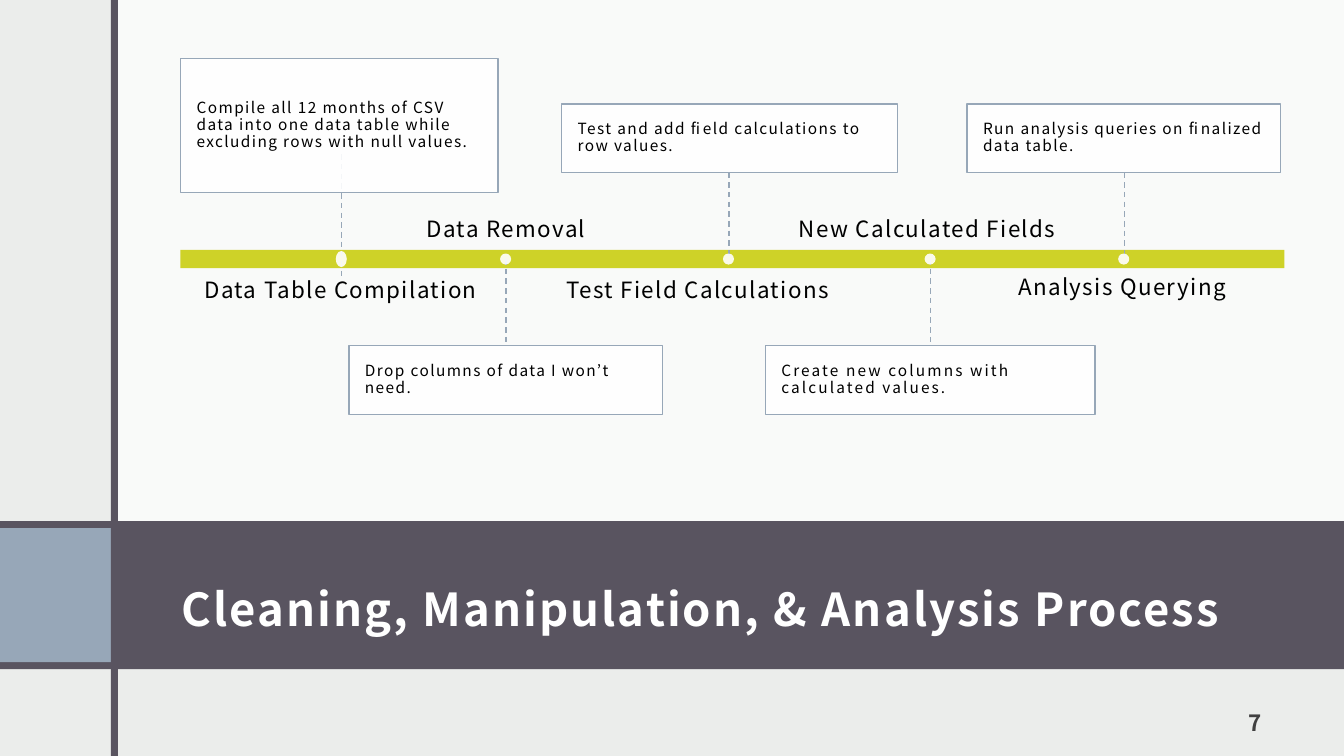
from lxml import etree
from pptx import Presentation
from pptx import util as u
from pptx.dml import color
from pptx.enum import dml, shapes, text
from pptx.oxml import ns

WHITE, BLACK, PLUM, STEEL, LIME = "FFFFFF", "000000", "595460", "97A7B8", "CED228"
MID, TOP, LOW = (text.MSO_ANCHOR.MIDDLE, text.MSO_ANCHOR.TOP,
                 text.MSO_ANCHOR.BOTTOM)
LEFT, MIDST, RIGHT = text.PP_ALIGN.LEFT, text.PP_ALIGN.CENTER, text.PP_ALIGN.RIGHT
AXIS = 2.57


def tint(code):
    return color.RGBColor.from_string(code)


class Board:
    font = "Noto Sans CJK JP"

    def __init__(self, slide):
        self.slide = slide

    def shape(self, area, fill, alpha=100, edge=None, kind="RECTANGLE"):
        form = self.slide.shapes.add_shape(
            shapes.MSO_SHAPE[kind], *map(u.Inches, area))
        form.shadow.inherit = False
        form.fill.solid()
        form.fill.fore_color.rgb = tint(fill)
        if alpha < 100:
            code = form._element.spPr.find(
                ns.qn("a:solidFill") + "/" + ns.qn("a:srgbClr"))
            etree.SubElement(code, ns.qn("a:alpha"), val=str(alpha * 1000))
        if edge:
            form.line.color.rgb = tint(edge)
            form.line.width = u.Pt(1)
        else:
            form.line.fill.background()
        return form

    def words(self, form, copy, size, hue=BLACK, bold=False, track=1,
              align=LEFT, anchor=MID, lead=1, pad=(0, 0, 0, 0)):
        frame = form.text_frame
        frame.word_wrap = True
        frame.vertical_anchor = anchor
        (frame.margin_left, frame.margin_top,
         frame.margin_right, frame.margin_bottom) = map(u.Inches, pad)
        frame.text = copy
        para = frame.paragraphs[0]
        para.alignment = align
        para.line_spacing = lead
        for run in para.runs:
            run.font.name = self.font
            run.font.size = u.Pt(size)
            run.font.bold = bold
            run.font.color.rgb = tint(hue)
            run._r.get_or_add_rPr().set("spc", str(int(track * 100)))

    def label(self, area, copy, size, **style):
        box = self.slide.shapes.add_textbox(*map(u.Inches, area))
        self.words(box, copy, size, **style)

    def stem(self, x, top, end):
        line = self.slide.shapes.add_connector(
            shapes.MSO_CONNECTOR.STRAIGHT, *map(u.Inches, (x, top, x, end)))
        line.line.color.rgb = tint(STEEL)
        line.line.width = u.Pt(1)
        line.line.dash_style = dml.MSO_LINE.DASH
        etree.SubElement(line._element.spPr, ns.qn("a:effectLst"))

    def step(self, x, area, name, mid, note, span=None, tall=0.11,
             track=1, lead=1):
        """One stage: stem, note box, name across the axis, and dot."""
        top, high = area[1], area[3]
        above = top < AXIS
        if span is None:
            span = (top + high, AXIS) if above else (AXIS, top)
        self.stem(x, *span)
        card = self.shape(area, WHITE, 90, STEEL)
        self.words(card, note, 11, track=track, lead=0.9,
                   pad=(0.16, 0.04, 0.16, 0.04))
        self.label((mid - 1.46, 2.74 if above else 1.89, 2.92, 0.51), name, 16,
                   align=MIDST, anchor=TOP if above else LOW, lead=lead)
        self.shape((x - 0.06, AXIS - tall / 2, 0.11, tall), WHITE, 90,
                   kind="OVAL")


def main():
    deck = Presentation()
    deck.slide_width, deck.slide_height = u.Inches(13.33), u.Inches(7.5)
    slide = deck.slides.add_slide(deck.slide_layouts[6])
    slide.background.fill.solid()
    slide.background.fill.fore_color.rgb = tint("EBEDEB")
    board = Board(slide)

    # Backdrop panels
    board.shape((1.14, 0, 12.19, 5.17), WHITE, 75)
    board.shape((0, 5.17, 13.33, 1.47), PLUM)
    board.shape((0, 5.24, 1.1, 1.33), STEEL)
    board.shape((1.1, 0, 0.07, 7.5), PLUM)

    # Title and page number
    pad = (0.12, 0.12, 0.12, 0.1)
    board.label((1.68, 5.33, 10.95, 1.13),
                "Cleaning, Manipulation, & Analysis Process", 32.4,
                hue=WHITE, bold=True, track=1.5, lead=1.5, pad=pad)
    board.label((11.56, 6.9, 1.07, 0.5), "7", 16, hue="404040", bold=True,
                track=1.5, align=RIGHT, anchor=LOW, pad=pad)

    # Timeline
    board.shape((1.79, 2.48, 10.95, 0.18), LIME)
    high, low, deep = 1.03, 3.43, 0.68
    board.step(3.39, (1.79, 0.58, 3.15, 1.33), "Data Table Compilation", 3.38,
               "Compile all 12 months of CSV data into one data table while "
               "excluding rows with null values.", span=(1.53, 2.75), tall=0.16)
    board.step(5.02, (3.46, low, 3.11, deep), "Data Removal", 5.02,
               "Drop columns of data I won’t need.")
    board.step(7.23, (5.57, high, 3.33, deep), "Test Field Calculations", 6.92,
               "Test and add field calculations to row values.")
    board.step(9.23, (7.59, low, 3.27, deep), "New Calculated Fields ", 9.23,
               "Create new columns with calculated values.", track=1.5, lead=0.9)
    board.step(11.15, (9.59, high, 3.11, deep), "Analysis Querying", 11.13,
               "Run analysis queries on finalized data table.", lead=0.9)

    deck.save("out.pptx")


if __name__ == "__main__":
    main()
